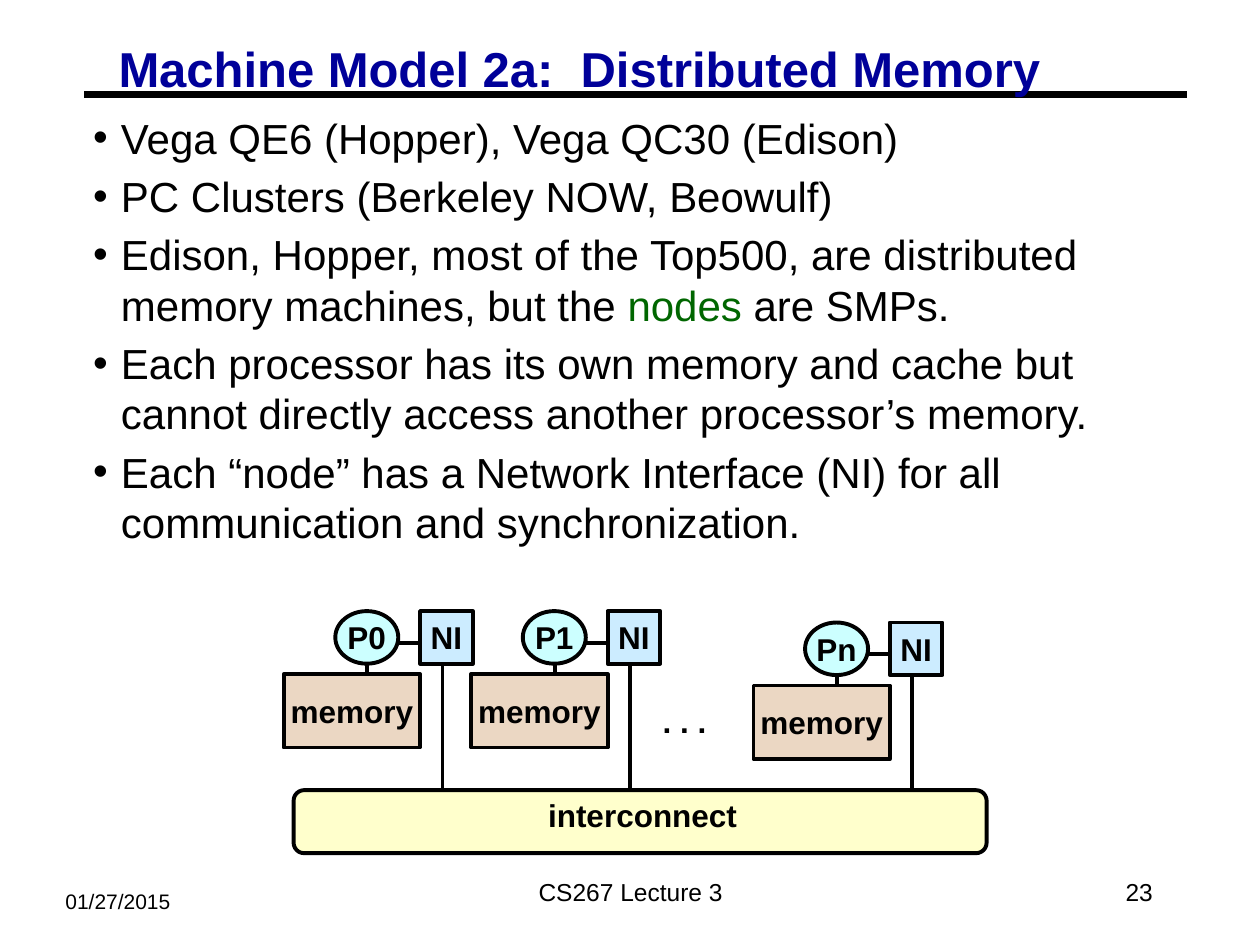
from lxml.etree import SubElement
from pptx import Presentation
from pptx.dml.color import RGBColor
from pptx.enum.shapes import MSO_CONNECTOR as Connector, MSO_SHAPE as Preset
from pptx.enum.text import MSO_ANCHOR as Anchor, PP_ALIGN as Align
from pptx.oxml.ns import qn
from pptx.util import Cm, Pt

color = RGBColor.from_string


def add_run(paragraph, text, size, hex_color="000000", bold=False):
    run = paragraph.add_run()
    run.text = text
    run.font.name = "Arial"
    run.font.size = Pt(size)
    run.font.bold = bold
    run.font.color.rgb = color(hex_color)


def add_line(x1, y1, x2, y2, width=2.25):
    line = slide.shapes.add_connector(
        Connector.STRAIGHT, Cm(x1), Cm(y1), Cm(x2), Cm(y2))
    line.line.color.rgb = color("000000")
    line.line.width = Pt(width)
    SubElement(line._element.spPr, qn("a:effectLst"))


presentation = Presentation()
presentation.slide_width = Cm(25.4)
presentation.slide_height = Cm(19.05)
slide = presentation.slides.add_slide(presentation.slide_layouts[6])

add_line(1.7, 1.91, 23.93, 1.91, 3.75)

title = slide.shapes.add_textbox(Cm(2.21), Cm(0.86), Cm(18.95), Cm(1.17))
body = slide.shapes.add_textbox(Cm(1.7), Cm(2.18), Cm(22.23), Cm(8.97))
for shape in (title, body):
    frame = shape.text_frame
    frame.word_wrap = True
    frame.margin_left = frame.margin_right = Cm(0.18)
    frame.margin_top = frame.margin_bottom = Cm(0.08)

paragraph = title.text_frame.paragraphs[0]
paragraph.line_spacing = 0.87
add_run(paragraph, "Machine Model 2a:  Distributed Memory", 28, "000099", True)

bullets = [
    [("Vega QE6 (Hopper), Vega QC30 (Edison)", "000000")],
    [("PC Clusters (Berkeley NOW, Beowulf)", "000000")],
    [("Edison, Hopper, most of the Top500, are distributed memory machines, but the ", "000000"),
     ("nodes ", "006600"), ("are SMPs.", "000000")],
    [("Each processor has its own memory and cache but cannot directly access "
      "another processor’s memory.", "000000")],
    [("Each “node” has a Network Interface (NI) for all communication and "
      "synchronization.", "000000")],
]
for index, runs in enumerate(bullets):
    frame = body.text_frame
    paragraph = frame.add_paragraph() if index else frame.paragraphs[0]
    properties = paragraph._p.get_or_add_pPr()
    properties.set("marL", str(Cm(0.56)))
    properties.set("indent", str(-Cm(0.56)))
    bullet_color = SubElement(properties, qn("a:buClr"))
    SubElement(bullet_color, qn("a:srgbClr")).set("val", "000000")
    SubElement(properties, qn("a:buFont")).set("typeface", "Arial")
    SubElement(properties, qn("a:buChar")).set("char", "•")
    if index:
        paragraph.space_before = Pt(4.5)
    for text, hex_color in runs:
        add_run(paragraph, text, 24, hex_color)

bus_top = 15.93
bus = slide.shapes.add_shape(
    Preset.ROUNDED_RECTANGLE, Cm(5.92), Cm(bus_top), Cm(13.97), Cm(1.27))
bus.shadow.inherit = False
bus.fill.solid()
bus.fill.fore_color.rgb = color("FFFFCC")
bus.line.color.rgb = color("000000")
bus.line.width = Pt(2.25)

nodes = [("P0", 5.72, 12.32), ("P1", 9.5, 12.32), ("Pn", 15.19, 12.55)]
for name, left, top in nodes:
    add_line(left + 1.68, top + 1.06, left + 1.68, top + 1.27)
    add_line(left + 2.31, top + 0.64, left + 2.75, top + 0.64)
    add_line(left + 3.2, top + 1.06, left + 3.2, bus_top)
    parts = [
        (name, Preset.OVAL, 1.04, 0, 1.27, 1.06, "CCFFFF"),
        ("memory", Preset.RECTANGLE, 0, 1.27, 2.75, 1.48, "EBD7C3"),
        ("NI", Preset.RECTANGLE, 2.75, 0, 1.06, 1.06, "CCECFF"),
    ]
    for text, preset, dx, dy, width, height, fill in parts:
        shape = slide.shapes.add_shape(
            preset, Cm(left + dx), Cm(top + dy), Cm(width), Cm(height))
        shape.shadow.inherit = False
        shape.fill.solid()
        shape.fill.fore_color.rgb = color(fill)
        shape.line.color.rgb = color("000000")
        shape.line.width = Pt(2.25)
        frame = shape.text_frame
        frame.word_wrap = False
        frame.vertical_anchor = Anchor.MIDDLE
        paragraph = frame.paragraphs[0]
        paragraph.alignment = Align.CENTER
        add_run(paragraph, text, 18, bold=True)

labels = [
    ("interconnect", 10.8, bus_top, 4.45, 1.02, 18, True, Align.LEFT, Anchor.TOP),
    (". . .", 13.11, 14.02, 1.91, 1.02, 18, True, Align.LEFT, Anchor.TOP),
    ("01/27/2015", 1.07, 17.78, 4.88, 0.76, 12, False, Align.LEFT, Anchor.TOP),
    ("CS267 Lecture 3", 8.69, 17.35, 8.05, 1.27, 14, False, Align.CENTER, Anchor.MIDDLE),
    ("23", 18.21, 17.35, 5.28, 1.27, 14, False, Align.RIGHT, Anchor.MIDDLE),
]
for text, left, top, width, height, size, bold, alignment, anchor in labels:
    label = slide.shapes.add_textbox(Cm(left), Cm(top), Cm(width), Cm(height))
    frame = label.text_frame
    frame.word_wrap = True
    frame.vertical_anchor = anchor
    paragraph = frame.paragraphs[0]
    paragraph.alignment = alignment
    add_run(paragraph, text, size, bold=bold)

presentation.save("out.pptx")
